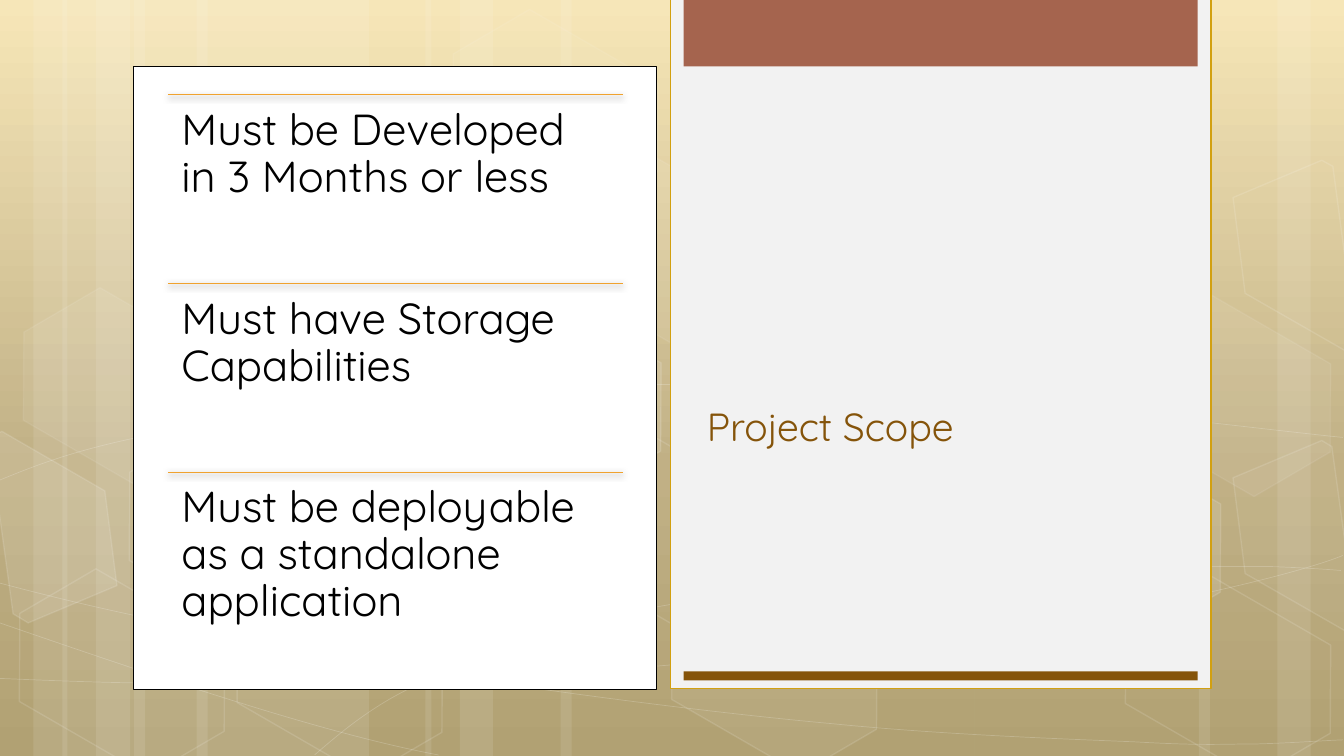
from pptx import Presentation
from pptx.dml.color import RGBColor
from pptx.enum.shapes import MSO_CONNECTOR, MSO_SHAPE
from pptx.enum.text import MSO_ANCHOR, MSO_AUTO_SIZE, PP_ALIGN
from pptx.oxml import parse_xml
from pptx.oxml.ns import nsdecls, qn
from pptx.util import Inches, Pt

RECT, HEXAGON = MSO_SHAPE.RECTANGLE, MSO_SHAPE.HEXAGON
STRAIGHT = MSO_CONNECTOR.STRAIGHT
TOP, BOTTOM = MSO_ANCHOR.TOP, MSO_ANCHOR.BOTTOM
NO_FIT, LEFT = MSO_AUTO_SIZE.NONE, PP_ALIGN.LEFT

WHITE = RGBColor(0xFF, 0xFF, 0xFF)
BLACK = RGBColor(0, 0, 0)
PANEL = RGBColor(0xF2, 0xF2, 0xF2)
GOLD = RGBColor(0xD2, 0xA0, 0x10)
RUST = RGBColor(0xA5, 0x64, 0x4E)
BROWN = RGBColor(0x85, 0x54, 0x0A)
AMBER = RGBColor(0xF0, 0xA2, 0x2E)
BACKDROP = [(0, "F6E4B0"), (62, "BAA878"), (100, "A99764")]

FONT = "Quicksand"
WIDTH, HEIGHT = 13.33, 7.5

BANDS = [(1.33, 2.33), (0, 0.67), (0.33, 1.11), (1.95, 2.33), (0.62, 0.67), (0.95, 1.11),
         (9.67, 2.33), (12.67, 0.66), (11.89, 1.11), (5.56, 4.11), (4.22, 0.67), (4.56, 1.11)]

CURVES = [
    [(-0.02, 6.73), (0.7, 6.76), (1.42, 6.79), (2.42, 6.78), (3.43, 6.77), (4.66, 6.75),
     (5.99, 6.65), (7.33, 6.55), (9.22, 6.36), (10.44, 6.17), (11.66, 5.98), (12.91, 5.68),
     (13.32, 5.51)],
    [(-0.02, 4.77), (0.37, 4.61), (0.75, 4.46), (1.51, 4.31), (2.26, 4.16), (3.34, 3.94),
     (4.52, 3.87), (5.7, 3.8), (7.14, 3.79), (8.61, 3.87), (10.07, 3.95), (12.52, 4.26),
     (13.32, 4.34)],
    [(-0.03, 6.17), (1.57, 6.72), (3.18, 7.27), (4.35, 7.49)],
    [(-0.02, 5.78), (0.4, 5.89), (0.82, 6), (1.59, 6.16), (2.37, 6.31), (3.53, 6.56),
     (4.64, 6.73), (5.75, 6.9), (7.16, 7.08), (8.26, 7.18), (9.36, 7.29), (10.55, 7.33),
     (11.26, 7.36), (11.96, 7.4), (12.14, 7.38), (12.48, 7.38), (12.83, 7.37), (13.07, 7.35),
     (13.32, 7.34)],
    [(3.12, 7.49), (3.35, 7.29), (3.59, 7.09), (3.91, 6.91), (4.24, 6.73), (4.68, 6.53),
     (5.06, 6.39), (5.43, 6.25), (5.66, 6.19), (6.15, 6.09), (6.64, 5.99), (7.53, 5.85),
     (8, 5.78), (8.47, 5.71), (8.54, 5.71), (8.95, 5.69), (9.37, 5.66), (10.02, 5.63),
     (10.48, 5.62), (10.94, 5.61), (11.71, 5.62), (11.71, 5.62), (12, 5.62), (12.3, 5.62),
     (12.59, 5.62), (12.83, 5.63), (13.06, 5.64), (13.3, 5.66)],
]

HEXAGONS = [
    (4.37, 3.13, 10, 12), (5.42, 4.51, 0, 12), (5.44, 1.74, 7, 8), (4.34, 0.36, 4, 8),
    (6.51, 5.89, 6, 12), (0.04, 5.91, 0, 12), (0.08, 3.12, 7, 8), (1.13, 4.51, 0, 12),
    (2.2, 5.92, 0, 12), (1.16, 1.71, 0, 12), (9.92, 4.53, 10, 12), (11.01, 5.93, 0, 12),
    (11.01, 3.14, 7, 8),
]

CUT_HEXAGONS = [
    ([(-0.11, 4.34), (0.02, 4.28), (1.04, 4.87), (1.16, 5.81), (0.28, 6.18), (0.13, 6.09)], 10),
    ([(12.23, 4.74), (13.11, 4.37), (13.21, 4.43), (13.46, 6.25), (13.38, 6.28), (12.35, 5.69)], 4),
    ([(12.23, 1.96), (13.11, 1.59), (13.22, 1.65), (13.46, 3.46), (13.38, 3.5), (12.35, 2.91)], 0),
]

REQUIREMENTS = ["Must be Developed in 3 Months or less",
                "Must have Storage Capabilities",
                "Must be deployable as a standalone application"]


def set_alpha(parent, percent):
    """Make the solid colour directly under parent partly transparent."""
    if percent < 100:
        color = parent.find(qn("a:solidFill")).find(qn("a:srgbClr"))
        color.append(parse_xml(f'<a:alpha {nsdecls("a")} val="{percent * 1000}"/>'))


def paint(sp, fill=None, line=None, width=1, fill_alpha=100, line_alpha=100):
    """Set the fill and outline of a shape, without a shadow."""
    sp.shadow.inherit = False
    props = sp._element.spPr
    if fill is None or not fill_alpha:
        sp.fill.background()
    else:
        sp.fill.solid()
        sp.fill.fore_color.rgb = fill
        set_alpha(props, fill_alpha)
    if line is None:
        sp.line.fill.background()
    else:
        sp.line.color.rgb = line
        sp.line.width = Pt(width)
        set_alpha(props.find(qn("a:ln")), line_alpha)


def add_box(slide, kind, x, y, w, h):
    """Add a preset shape measured in inches."""
    return slide.shapes.add_shape(kind, Inches(x), Inches(y), Inches(w), Inches(h))


def add_outline(slide, points, close):
    """Add a freeform through points in inches."""
    (x, y), *rest = [(Inches(px), Inches(py)) for px, py in points]
    builder = slide.shapes.build_freeform(x, y)
    builder.add_line_segments(rest, close=close)
    return builder.convert_to_shape()


def add_curve(slide, controls):
    """Add an open freeform of cubic Bezier segments."""
    sp = add_outline(slide, controls, False)
    lines = list(sp._element.iter(qn("a:lnTo")))
    for i in range(0, len(lines), 3):
        bezier = parse_xml(f'<a:cubicBezTo {nsdecls("a")}/>')
        lines[i].addprevious(bezier)
        for line in lines[i:i + 3]:
            bezier.append(line[0])
            line.getparent().remove(line)
    return sp


def format_text(tf, text, size, color, anchor):
    """Fill a text frame with one left-aligned paragraph."""
    tf.text = text
    tf.word_wrap = True
    tf.auto_size = NO_FIT
    tf.vertical_anchor = anchor
    p = tf.paragraphs[0]
    p.alignment = LEFT
    font = p.runs[0].font
    font.name, font.size, font.color.rgb = FONT, Pt(size), color


def draw_backdrop(slide):
    """Draw the gradient, bands, curves and hexagons behind the panels."""
    fill = slide.background.fill
    fill.gradient()
    fill.gradient_angle = 270
    stops = slide._element.find(".//" + qn("a:gsLst"))
    for stop in list(stops):
        stops.remove(stop)
    for position, color in BACKDROP:
        stops.append(parse_xml(f'<a:gs {nsdecls("a")} pos="{position * 1000}">'
                               f'<a:srgbClr val="{color}"/></a:gs>'))
    for x, w in BANDS:
        paint(add_box(slide, RECT, x, 0, w, HEIGHT), WHITE, fill_alpha=10)
    for controls in CURVES:
        paint(add_curve(slide, controls), None, WHITE, 0.5, line_alpha=20)
    for x, y, fill_alpha, line_alpha in HEXAGONS:
        sp = add_box(slide, HEXAGON, x, y, 2.34, 1.52)
        sp.adjustments[0] = 0.285
        sp.rotation = 30
        paint(sp, WHITE, WHITE, 1, fill_alpha, line_alpha)
    for points, fill_alpha in CUT_HEXAGONS:
        paint(add_outline(slide, points, True), WHITE, WHITE, 1, fill_alpha, 12)


def draw_title_panel(slide, x, y, w, h):
    """Draw the grey panel with its two bars and the title."""
    inset = 0.13
    bar_w = w - 2 * inset
    paint(add_box(slide, RECT, x, y, w, h), PANEL, GOLD)
    paint(add_box(slide, RECT, x + inset, y, bar_w, 0.68), RUST)
    paint(add_box(slide, RECT, x + inset, y + h - 0.17, bar_w, 0.09), BROWN)
    title = slide.shapes.title
    title.left, title.top = Inches(x + 2 * inset), Inches(y + 2.93)
    title.width, title.height = Inches(4.82), Inches(1.6)
    format_text(title.text_frame, "Project Scope", 28, BROWN, BOTTOM)
    slide.shapes._spTree.append(title._element)


def draw_requirements(slide, x, y, w, h):
    """Draw the white card with one ruled row per requirement."""
    paint(add_box(slide, RECT, x, y, w, h), WHITE, BLACK, 0.25)
    left, top, row_w = x + 0.35, y + 0.28, 4.51
    row_h = (h - 2 * 0.28) / len(REQUIREMENTS)
    for i, text in enumerate(REQUIREMENTS):
        row_y = Inches(top + i * row_h)
        rule = slide.shapes.add_connector(STRAIGHT, Inches(left), row_y,
                                          Inches(left + row_w), row_y)
        rule.line.color.rgb = AMBER
        rule.line.width = Pt(0.5)
        rule._element.spPr.append(parse_xml(
            f'<a:effectLst {nsdecls("a")}><a:outerShdw blurRad="{Pt(4.5)}" dist="{Pt(1.5)}" '
            'dir="5400000" rotWithShape="0"><a:srgbClr val="000000"><a:alpha val="63000"/>'
            '</a:srgbClr></a:outerShdw></a:effectLst>'))
        tf = slide.shapes.add_textbox(Inches(left), row_y, Inches(row_w), Inches(row_h)).text_frame
        format_text(tf, text, 31, BLACK, TOP)
        tf.margin_left = tf.margin_right = tf.margin_top = tf.margin_bottom = Inches(0.13)
        tf.paragraphs[0].line_spacing = 0.9


def main():
    """Build the project scope slide."""
    prs = Presentation()
    prs.slide_width, prs.slide_height = Inches(WIDTH), Inches(HEIGHT)
    slide = prs.slides.add_slide(prs.slide_layouts[5])
    draw_backdrop(slide)
    draw_title_panel(slide, 6.65, -0.02, 5.36, 6.85)
    draw_requirements(slide, 1.32, 0.66, 5.19, 6.18)
    prs.save("out.pptx")


if __name__ == "__main__":
    main()
